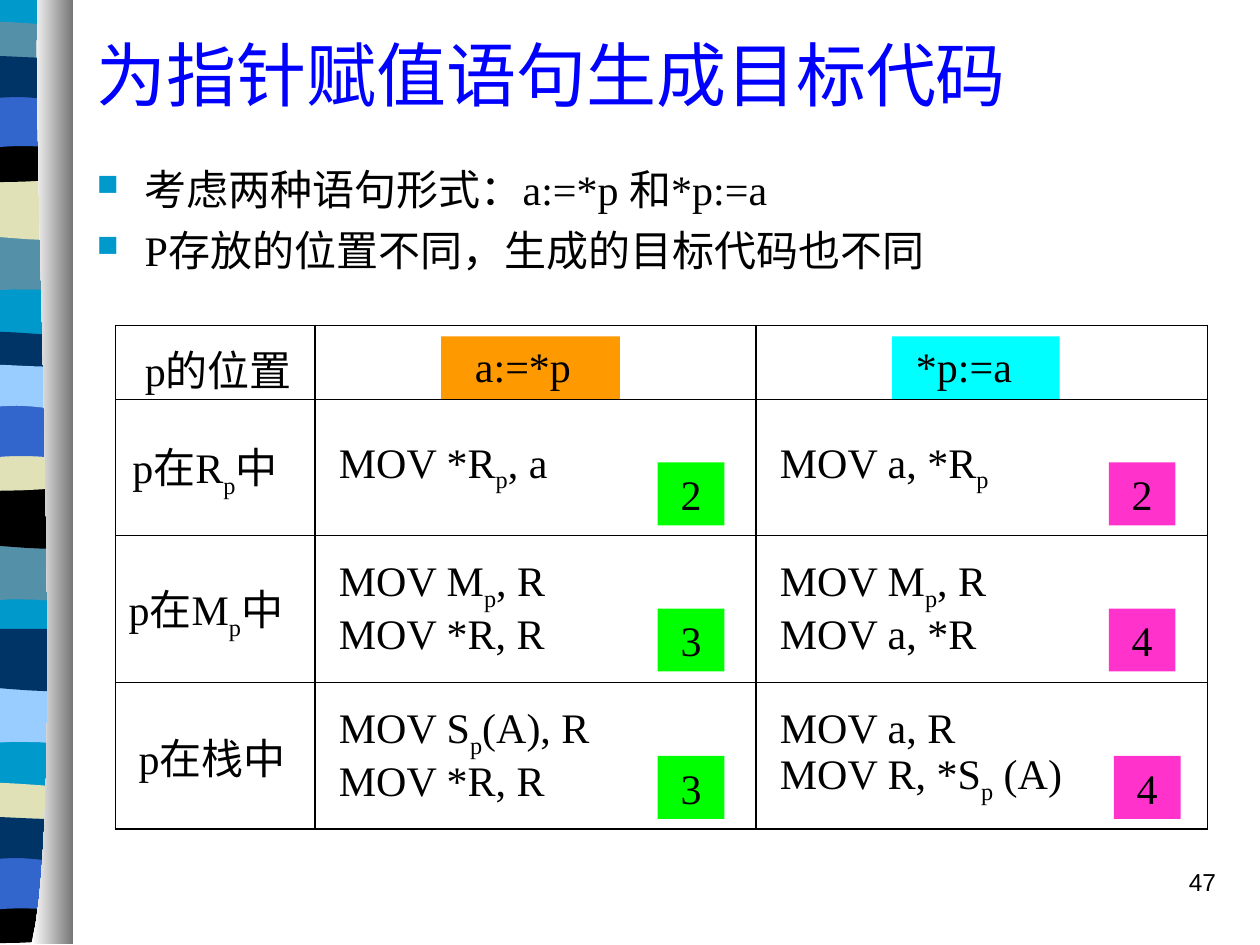
from lxml import etree
from pptx import Presentation
from pptx import util as u
from pptx.dml.color import RGBColor
from pptx.enum import shapes, text
from pptx.oxml import parse_xml
from pptx.oxml.ns import nsdecls, qn

COLORS = {
    "black": "000000", "blue": "0000FF", "cyan": "00FFFF", "orange": "FF9900",
    "green": "00FF00", "pink": "FF33CC", "azure": "0099CC", "teal": "5490A8",
    "sand": "E1E1B7", "royal": "3366CC", "navy": "003366", "sky": "99CCFF",
    "white": "FFFFFF", "gray": "767676",
}
SERIF = "Times New Roman"

# Band outlines: a pair is a corner, a six-tuple is a Bezier curve
BANDS = {
    "block": [(.56, 0), (.56, 7.48), (-.53, 7.48), (-.53, 0)],
    "wave": [(.56, 0), (.56, .47), (-.19, .39, -.35, .55, -.53, .47), (-.53, 0)],
    "tilt": [(.56, 0), (.56, .47), (.37, .55, -.19, .41, -.53, .47), (-.53, 0)],
    "thin": [(.56, .05), (.56, .29), (.37, .33, -.35, .33, -.53, .29), (-.53, .05),
             (-.46, 0, -.29, .01, -.11, .01), (.07, .01, .42, .04, .56, .05)],
    "bowl": [(.56, 0), (.56, .32), (.37, .38, -.35, .38, -.53, .32), (-.53, 0),
             (.14, .05, .33, 0, .56, 0)],
    "arch": [(.56, 0), (.56, .47), (.39, .42, .32, .42, .14, .42),
             (-.04, .42, -.36, .47, -.53, .47), (-.53, 0)],
    "ribbon": [(.56, .05), (.56, .36), (.49, .41, .32, .36, .14, .36),
               (-.04, .36, -.42, .41, -.53, .36), (-.53, .05),
               (-.38, 0, .21, .05, .39, .05)],
}
# Outline, left shift, top, colour; from back to front
BAND_STACK = [
    ("block", 0, -.01, "azure"),
    ("wave", 0, 1.85, "teal"), ("tilt", 0, 1.41, "sand"), ("thin", 0, .16, "teal"),
    ("bowl", 0, 1.08, "black"), ("arch", 0, .74, "royal"), ("ribbon", 0, .41, "navy"),
    ("wave", -.01, 4.31, "teal"), ("tilt", -.01, 3.86, "black"), ("thin", -.01, 2.62, "navy"),
    ("bowl", -.01, 3.53, "sand"), ("arch", -.01, 3.2, "royal"), ("ribbon", -.01, 2.86, "sky"),
    ("wave", 0, 5.44, "sky"), ("tilt", 0, 4.99, "navy"), ("thin", -.01, 6.2, "sand"),
    ("bowl", -.01, 7.12, "black"), ("arch", -.01, 6.79, "royal"), ("ribbon", -.01, 6.45, "navy"),
]
EDGE = [(.3, -.01), (.25, 1.25, .53, 6.46, .25, 7.49), (.58, 7.49), (.58, 0)]

# An underscore marks the next letter as a subscript
ROWS = [
    ["p的位置", "a:=*p", "*p:=a"],
    ["p在R_p中", "MOV *R_p, a", "MOV a, *R_p"],
    ["p在M_p中", "MOV M_p, R\nMOV *R, R", "MOV M_p, R\nMOV a, *R"],
    ["p在栈中", "MOV S_p(A), R\nMOV *R, R", "MOV a, R\nMOV R, *S_p (A)"],
]
COLUMN_WIDTHS = [1.58, 3.5, 3.58]
ROW_HEIGHTS = [.59, 1.08, 1.17, 1.16]
LEFT_MARGINS = [[.23, 1.27, 1.27], [.13, .19, .19], [.1, .19, .19], [.18, .19, .19]]
COUNTS = [
    (5.22, 3.67, "2", "green"), (5.22, 4.83, "3", "green"), (5.22, 6, "3", "green"),
    (8.8, 3.67, "2", "pink"), (8.8, 4.83, "4", "pink"), (8.84, 6, "4", "pink"),
]


def rgb(name):
    return RGBColor.from_string(COLORS[name])


def trace(outline, left=0, top=0, steps=8):
    """Turn corners and curves into points in thousandths of an inch."""
    points = []
    for part in outline:
        pairs = list(zip(part[::2], part[1::2]))
        if len(pairs) == 1:
            points += pairs
            continue
        curve = [points[-1]] + pairs
        for step in range(1, steps + 1):
            t = step / steps
            weights = [(1 - t) ** 3, 3 * t * (1 - t) ** 2, 3 * t * t * (1 - t), t ** 3]
            points.append(tuple(sum(w * p[axis] for w, p in zip(weights, curve))
                                for axis in (0, 1)))
    return [(1000 * (x + left), 1000 * (y + top)) for x, y in points]


def add_outline(slide, points):
    builder = slide.shapes.build_freeform(*points[0], scale=u.Inches(1) / 1000)
    builder.add_line_segments(points[1:], close=True)
    shape = builder.convert_to_shape()
    shape.shadow.inherit = False
    shape.line.fill.background()
    return shape


def format_runs(paragraph, size, color, font=SERIF):
    for run in paragraph.runs:
        run.font.size = u.Pt(size)
        run.font.name = font
        run.font.color.rgb = rgb(color)


def add_text(slide, left, top, width, height, words, size, color="black", font=SERIF):
    box = slide.shapes.add_textbox(*map(u.Inches, (left, top, width, height)))
    frame = box.text_frame
    frame.word_wrap = True
    frame.text = words
    for paragraph in frame.paragraphs:
        format_runs(paragraph, size, color, font)
    return frame


def add_bullet(paragraph):
    paragraph.space_before = u.Pt(6)
    properties = paragraph._p.get_or_add_pPr()
    properties.set("marL", str(u.Inches(.38)))
    properties.set("indent", str(u.Inches(-.38)))
    color = etree.SubElement(properties, qn("a:buClr"))
    etree.SubElement(color, qn("a:srgbClr"), val=COLORS["azure"])
    etree.SubElement(properties, qn("a:buSzPct"), val="70000")
    etree.SubElement(properties, qn("a:buChar"), char="■")


def add_chip(slide, left, top, width, color, words=""):
    shape = slide.shapes.add_shape(shapes.MSO_SHAPE.RECTANGLE,
                                   *map(u.Inches, (left, top, width, .5)))
    shape.shadow.inherit = False
    shape.fill.solid()
    shape.fill.fore_color.rgb = rgb(color)
    shape.line.fill.background()
    if words:
        frame = shape.text_frame
        frame.text = words
        frame.vertical_anchor = text.MSO_ANCHOR.MIDDLE
        frame.paragraphs[0].alignment = text.PP_ALIGN.CENTER
        format_runs(frame.paragraphs[0], 24, "black")


def set_borders(cell):
    properties = cell._tc.get_or_add_tcPr()
    for index, side in enumerate("LRTB"):
        properties.insert(index, parse_xml(
            f'<a:ln{side} {nsdecls("a")} w="{u.Pt(.75)}"><a:solidFill>'
            f'<a:srgbClr val="{COLORS["black"]}"/></a:solidFill></a:ln{side}>'))


def fill_cell(cell, words, left, top):
    cell.fill.background()
    set_borders(cell)
    cell.vertical_anchor = text.MSO_ANCHOR.MIDDLE
    cell.margin_left, cell.margin_top = u.Inches(left), u.Inches(top)
    cell.margin_right = cell.margin_bottom = 0
    frame = cell.text_frame
    for index, line in enumerate(words.split("\n")):
        paragraph = frame.add_paragraph() if index else frame.paragraphs[0]
        plain, *marked = line.split("_")
        paragraph.add_run().text = plain
        for piece in marked:
            subscript = paragraph.add_run()
            subscript.text = piece[0]
            subscript._r.get_or_add_rPr().set("baseline", "-25000")
            if piece[1:]:
                paragraph.add_run().text = piece[1:]
        format_runs(paragraph, 24, "black")


def add_code_table(slide):
    table = slide.shapes.add_table(len(ROWS), len(COLUMN_WIDTHS),
                                   *map(u.Inches, (.92, 2.58, 8.66, 4))).table
    table.first_row = table.horz_banding = False
    for column, width in zip(table.columns, COLUMN_WIDTHS):
        column.width = u.Inches(width)
    for r, (row, height) in enumerate(zip(table.rows, ROW_HEIGHTS)):
        row.height = u.Inches(height)
        for cell, words, left in zip(row.cells, ROWS[r], LEFT_MARGINS[r]):
            fill_cell(cell, words, left, 0 if r else .09)


def add_side_border(slide):
    for outline, left, top, color in BAND_STACK:
        band = add_outline(slide, trace(BANDS[outline], left, top))
        band.fill.solid()
        band.fill.fore_color.rgb = rgb(color)
    edge = add_outline(slide, trace(EDGE, steps=24))
    edge.fill.gradient()
    edge.fill.gradient_angle = 0
    for stop, color in zip(edge.fill.gradient_stops, ("white", "gray")):
        stop.color.rgb = rgb(color)


def main():
    presentation = Presentation()
    presentation.slide_width, presentation.slide_height = u.Inches(10), u.Inches(7.5)
    slide = presentation.slides.add_slide(presentation.slide_layouts[6])

    add_side_border(slide)

    # Title and points
    title = add_text(slide, .67, .08, 9.12, 1, "为指针赋值语句生成目标代码", 40, "blue")
    title.vertical_anchor = text.MSO_ANCHOR.MIDDLE
    points = add_text(slide, .67, 1.25, 9.12, 1.08,
                      "考虑两种语句形式：a:=*p 和*p:=a\nP存放的位置不同，生成的目标代码也不同", 24)
    for paragraph in points.paragraphs:
        add_bullet(paragraph)

    # Header highlights lie behind the table, instruction counts above it
    add_chip(slide, 7.08, 2.67, 1.33, "cyan")
    add_chip(slide, 3.5, 2.67, 1.42, "orange")
    add_code_table(slide)
    for left, top, count, color in COUNTS:
        add_chip(slide, left, top, .53, color, count)

    # Slide number
    number = add_text(slide, 7.67, 6.83, 2.08, .5, "47", 14, font="Arial").paragraphs[0]
    number.alignment = text.PP_ALIGN.RIGHT
    number.space_before = u.Pt(8.8)

    presentation.save("out.pptx")


if __name__ == "__main__":
    main()
